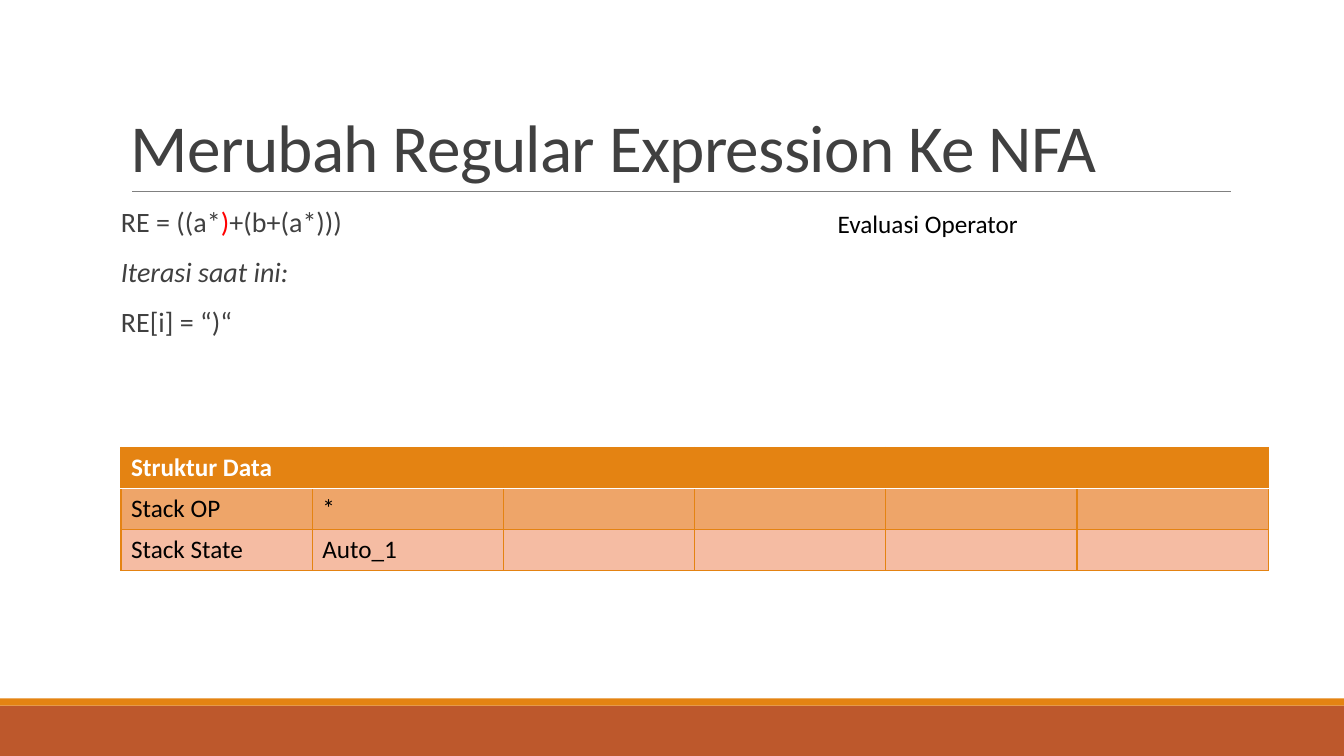
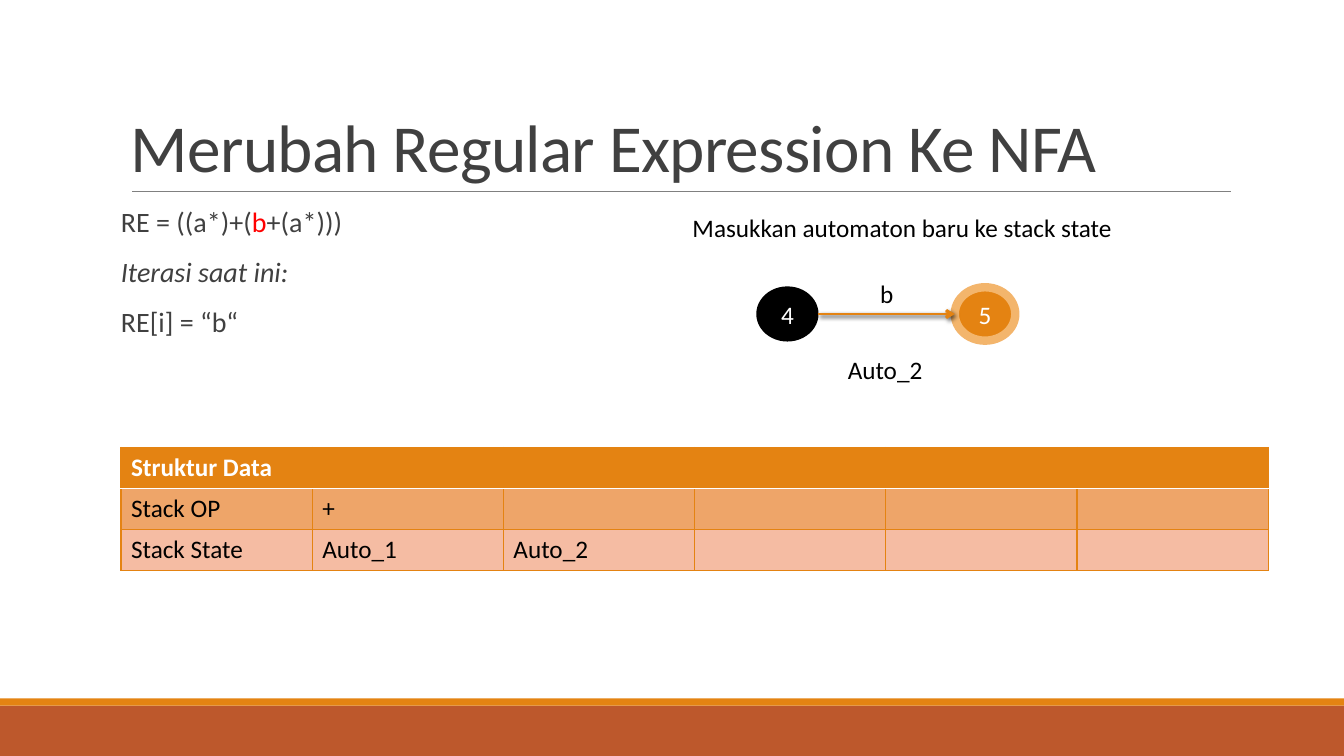
from dataclasses import dataclass

from lxml import etree
from pptx import Presentation
from pptx.dml.color import RGBColor
from pptx.enum import shapes, text
from pptx.oxml import ns
from pptx.util import Inches, Pt


@dataclass(frozen=True)
class Theme:
    font: str = "Calibri"
    title_size: int = 48
    body_size: int = 20
    label_size: int = 18
    orange: str = "E48312"
    rust: str = "BD582C"
    rule: str = "808080"
    ink: str = "404040"
    black: str = "000000"
    white: str = "FFFFFF"
    red: str = "FF0000"
    ring: str = "F3B56C"
    row_dark: str = "EEA569"
    row_light: str = "F5BCA3"


THEME = Theme()
TITLE = "Merubah Regular Expression Ke NFA"
EXPRESSION = "((a*)+(b+(a*)))"
STACK_SLOTS = 5


def rgb(color):
    return RGBColor.from_string(color)


def child(parent, tag, **attributes):
    return etree.SubElement(parent, ns.qn(tag), {k: str(v) for k, v in attributes.items()})


def write(frame, paragraphs, size=THEME.label_size, color=THEME.black, bold=False,
          align=None, line_spacing=None, before=0, after=0, tracking=None):
    """Fill a frame; a paragraph is a list of (text, colour or None, italic) runs, or a string."""
    for number, runs in enumerate(paragraphs):
        paragraph = frame.paragraphs[0] if number == 0 else frame.add_paragraph()
        paragraph.alignment = align
        paragraph.line_spacing = line_spacing
        paragraph.space_before, paragraph.space_after = Pt(before), Pt(after)
        for words, run_color, italic in [(runs, None, False)] if isinstance(runs, str) else runs:
            run = paragraph.add_run()
            run.text = words
            font = run.font
            font.name, font.size, font.bold, font.italic = THEME.font, Pt(size), bold, italic
            font.color.rgb = rgb(run_color or color)
            if tracking is not None:
                font._element.set("spc", str(tracking))


def text_box(slide, box, paragraphs, wrap=True, anchor=text.MSO_ANCHOR.TOP, side_inset=0.1,
             **style):
    frame = slide.shapes.add_textbox(*map(Inches, box)).text_frame
    frame.word_wrap = wrap
    frame.vertical_anchor = anchor
    frame.margin_left = frame.margin_right = Inches(side_inset)
    write(frame, paragraphs, **style)


def label(slide, box, words):
    text_box(slide, box, [words], wrap=False)


def solid_shape(slide, kind, box, fill, line=None, line_width=0.0):
    shape = slide.shapes.add_shape(kind, *map(Inches, box))
    shape.shadow.inherit = False
    shape.fill.solid()
    shape.fill.fore_color.rgb = rgb(fill)
    if line:
        shape.line.color.rgb = rgb(line)
        shape.line.width = Pt(line_width)
    else:
        shape.line.fill.background()
    return shape


def straight_line(slide, start, end, color, width):
    """Draw a line and return its shape properties with an empty effect list."""
    line = slide.shapes.add_connector(shapes.MSO_CONNECTOR.STRAIGHT,
                                      *map(Inches, (*start, *end)))
    line.line.color.rgb = rgb(color)
    line.line.width = Pt(width)
    properties = line._element.spPr
    return properties, child(properties, "a:effectLst")


def slide_frame(slide):
    # Footer bands, title and the rule below it
    rectangle = shapes.MSO_SHAPE.RECTANGLE
    solid_shape(slide, rectangle, (0, 7, 13.33, 0.5), THEME.rust)
    solid_shape(slide, rectangle, (0, 6.93, 13.33, 0.07), THEME.orange)
    straight_line(slide, (1.31, 1.9), (12.21, 1.9), THEME.rule, 0.5)
    text_box(slide, (1.2, 0.31, 11, 1.59), [TITLE], anchor=text.MSO_ANCHOR.BOTTOM,
             size=THEME.title_size, color=THEME.ink, line_spacing=0.85, tracking=-50)


def iteration_text(slide, box, position):
    # Expression with the current symbol in red
    symbol = EXPRESSION[position]
    text_box(slide, box, [
        [("RE = " + EXPRESSION[:position], None, False),
         (symbol, THEME.red, False),
         (EXPRESSION[position + 1:], None, False)],
        [("Iterasi saat ini:", None, True)],
        f"RE[i] = “{symbol}“",
    ], side_inset=0, size=THEME.body_size, color=THEME.ink,
        line_spacing=0.9, before=12, after=2)


def cell_borders(cell, **special):
    """Outline a cell; special maps a side (L, R, T, B) to its colour and width."""
    properties = cell._tc.get_or_add_tcPr()
    for order, side in enumerate("LRTB"):
        color, width = special.get(side, (THEME.orange, 1))
        border = child(properties, f"a:ln{side}", w=Pt(width))
        child(child(border, "a:solidFill"), "a:srgbClr", val=color)
        properties.insert(order, border)


def stack_table(slide, box, operators, states):
    # Header row, then one row for each stack
    rows = [(["Struktur Data"], THEME.orange, THEME.white),
            (["Stack OP", *operators], THEME.row_dark, THEME.black),
            (["Stack State", *states], THEME.row_light, THEME.black)]
    table = slide.shapes.add_table(len(rows), 1 + STACK_SLOTS, *map(Inches, box)).table
    table.horz_banding = False
    divider = (THEME.white, 1.25)
    edges = [{"B": divider}, {"T": divider}, {}]
    for r, (words, fill, color) in enumerate(rows):
        for c in range(1 + STACK_SLOTS):
            cell = table.cell(r, c)
            cell.fill.solid()
            cell.fill.fore_color.rgb = rgb(fill)
            cell_borders(cell, **edges[r])
            write(cell.text_frame, [words[c] if c < len(words) else ""],
                  color=color, bold=r == 0)


def state_node(slide, box, name, fill, line, line_width):
    node = solid_shape(slide, shapes.MSO_SHAPE.OVAL, box, fill, line, line_width)
    node.text_frame.vertical_anchor = text.MSO_ANCHOR.MIDDLE
    write(node.text_frame, [name], color=THEME.white, align=text.PP_ALIGN.CENTER)


def transition_arrow(slide, start, end):
    properties, effects = straight_line(slide, start, end, THEME.orange, 2)
    child(properties.find(ns.qn("a:ln")), "a:tailEnd", type="arrow")
    shadow = child(effects, "a:outerShdw", blurRad=Pt(3), dist=Pt(2), dir=45 * 60000,
                   rotWithShape=0)
    child(child(shadow, "a:srgbClr", val=THEME.black), "a:alpha", val=60000)


def automaton(slide, box, start, symbol, final, name):
    # Start state, transition and accepting state
    left, top, width, height = box
    node_width, node_height = 0.6, 0.53
    final_left = left + width - node_width
    middle = top + node_height / 2
    state_node(slide, (left, top, node_width, node_height), start,
               THEME.black, THEME.black, 1.25)
    state_node(slide, (final_left, top, node_width, node_height), final,
               THEME.orange, THEME.ring, 6)
    transition_arrow(slide, (left + node_width, middle), (final_left, middle))
    label(slide, (left + 1.12, top - 0.14, 0.34, 0.4), symbol)
    label(slide, (left + 0.8, top + height - 0.4, 0.95, 0.4), name)


def iteration_slide(deck, position, action, action_box, operators, states):
    slide = deck.slides.add_slide(deck.slide_layouts[6])
    slide_frame(slide)
    iteration_text(slide, (1.2, 2.02, 11, 4.4), position)
    stack_table(slide, (1.2, 4.44, 11.38, 1.22), operators, states)
    label(slide, action_box, action)
    return slide


deck = Presentation()
deck.slide_width, deck.slide_height = Inches(13.33), Inches(7.5)

# Closing bracket: evaluate the operator
iteration_slide(deck, 4, "Evaluasi Operator", (8.21, 2.02, 2.01, 0.4), ["*"], ["Auto_1"])

# Symbol b: push a new automaton
push_slide = iteration_slide(deck, 7, "Masukkan automaton baru ke stack state",
                             (6.77, 2.06, 4.4, 0.4), ["+"], ["Auto_1", "Auto_2"])
automaton(push_slide, (7.51, 2.85, 2.56, 1.02), "4", "b", "5", "Auto_2")

deck.save("out.pptx")
